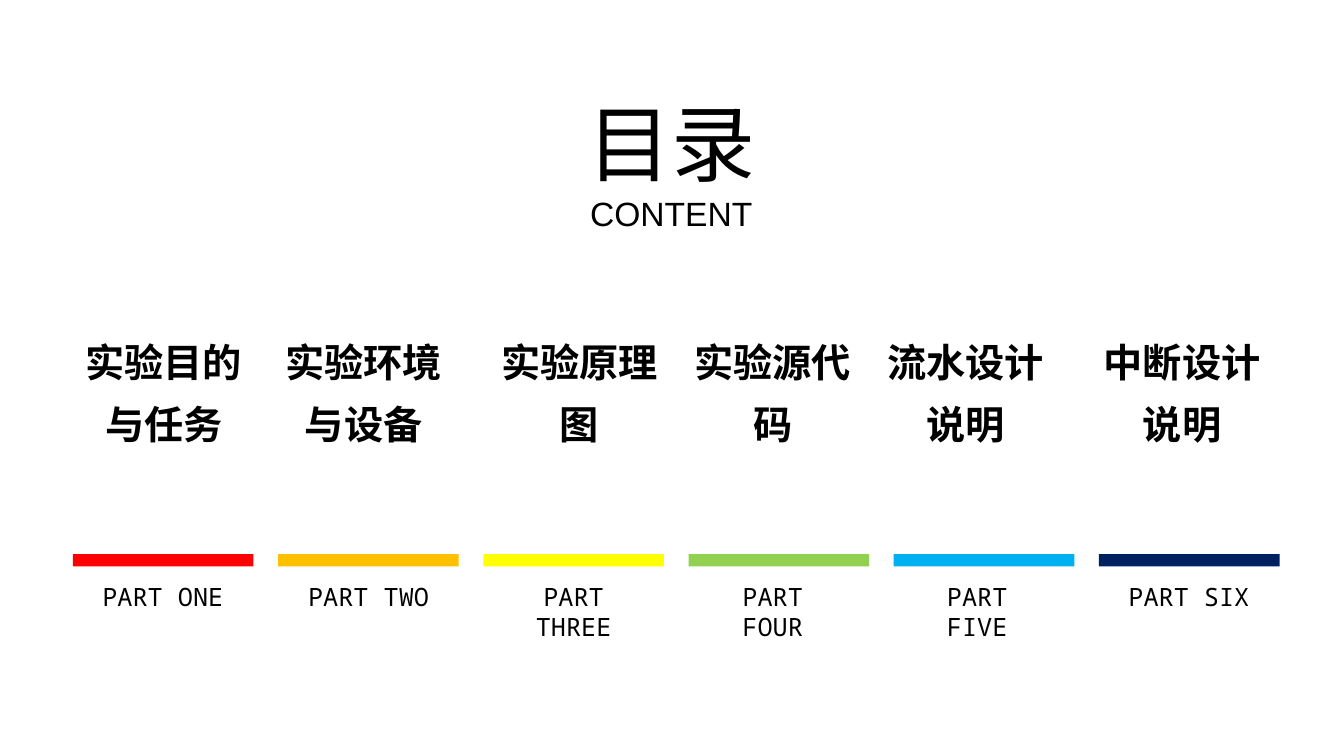
from dataclasses import dataclass

from pptx import Presentation
from pptx.dml.color import RGBColor
from pptx.enum.shapes import MSO_SHAPE
from pptx.enum.text import MSO_ANCHOR, MSO_AUTO_SIZE, PP_ALIGN
from pptx.shapes.autoshape import Shape
from pptx.slide import Slide
from pptx.util import Pt

BLACK = RGBColor(0x00, 0x00, 0x00)
RED = RGBColor(0xFF, 0x00, 0x00)
ORANGE = RGBColor(0xFF, 0xC0, 0x00)
YELLOW = RGBColor(0xFF, 0xFF, 0x00)
GREEN = RGBColor(0x92, 0xD0, 0x50)
BLUE = RGBColor(0x00, 0xB0, 0xF0)
NAVY = RGBColor(0x00, 0x20, 0x60)

BAR_LEFT, BAR_TOP, BAR_WIDTH, BAR_HEIGHT = 52, 395.8, 129, 8.8
BAR_PITCH = 146.6
HEADING_TOP, HEADING_HEIGHT = 228.4, 91
LABEL_TOP, LABEL_HEIGHT = 411.8, 51


@dataclass(frozen=True)
class Part:
    heading: str
    label: str
    color: RGBColor
    heading_left: float
    label_left: float
    heading_width: float = 138
    label_width: float = 104.4


PARTS = [
    Part("实验目的与任务", "PART ONE", RED, 43.2, 64.1, heading_width=147.6),
    Part("实验环境与设备", "PART TWO", ORANGE, 190.8, 211),
    Part("实验原理图", "PART THREE", YELLOW, 345, 351.4, label_width=116.6),
    Part("实验源代码", "PART FOUR", GREEN, 483, 499.7),
    Part("流水设计说明", "PART FIVE", BLUE, 620.6, 645.8),
    Part("中断设计说明", "PART SIX", NAVY, 775.4, 797),
]


def place(shape: Shape, left: float, top: float, width: float, height: float) -> None:
    shape.left, shape.top = Pt(left), Pt(top)
    shape.width, shape.height = Pt(width), Pt(height)


def write(shape: Shape, text: str, *, sizes: list[float], font: str = "Arial",
          bold: bool = False, line_spacing: float = 1.0, wrap: bool = True) -> None:
    """Fill the shape with centred text, one size for each line."""
    frame = shape.text_frame
    frame.text = text
    frame.word_wrap = wrap
    frame.auto_size = MSO_AUTO_SIZE.NONE
    frame.vertical_anchor = MSO_ANCHOR.TOP
    for paragraph, size in zip(frame.paragraphs, sizes):
        paragraph.alignment = PP_ALIGN.CENTER
        paragraph.line_spacing = line_spacing
        paragraph.font.name = font
        paragraph.font.size = Pt(size)
        paragraph.font.bold = bold
        paragraph.font.color.rgb = BLACK


def add_text(slide: Slide, text: str, left: float, top: float, width: float,
             height: float, **text_format) -> None:
    box = slide.shapes.add_textbox(Pt(left), Pt(top), Pt(width), Pt(height))
    write(box, text, **text_format)


def add_part(slide: Slide, part: Part, bar_left: float) -> None:
    add_text(slide, part.heading, part.heading_left, HEADING_TOP, part.heading_width,
             HEADING_HEIGHT, sizes=[28], bold=True, line_spacing=1.3)
    bar = slide.shapes.add_shape(MSO_SHAPE.RECTANGLE, Pt(bar_left), Pt(BAR_TOP),
                                 Pt(BAR_WIDTH), Pt(BAR_HEIGHT))
    bar.shadow.inherit = False
    bar.fill.solid()
    bar.fill.fore_color.rgb = part.color
    bar.line.fill.background()
    add_text(slide, part.label, part.label_left, LABEL_TOP, part.label_width,
             LABEL_HEIGHT, sizes=[18], font="Noto Sans Mono")


def main() -> None:
    presentation = Presentation()
    presentation.slide_width, presentation.slide_height = Pt(960), Pt(540)
    slide = presentation.slides.add_slide(presentation.slide_layouts[5])
    title = slide.shapes.title
    place(title, 411.8, 62, 135.4, 108.7)
    write(title, "目录\nCONTENT", sizes=[60, 24], wrap=False)
    for index, part in enumerate(PARTS):
        add_part(slide, part, BAR_LEFT + index * BAR_PITCH)
    presentation.save("out.pptx")


if __name__ == "__main__":
    main()
